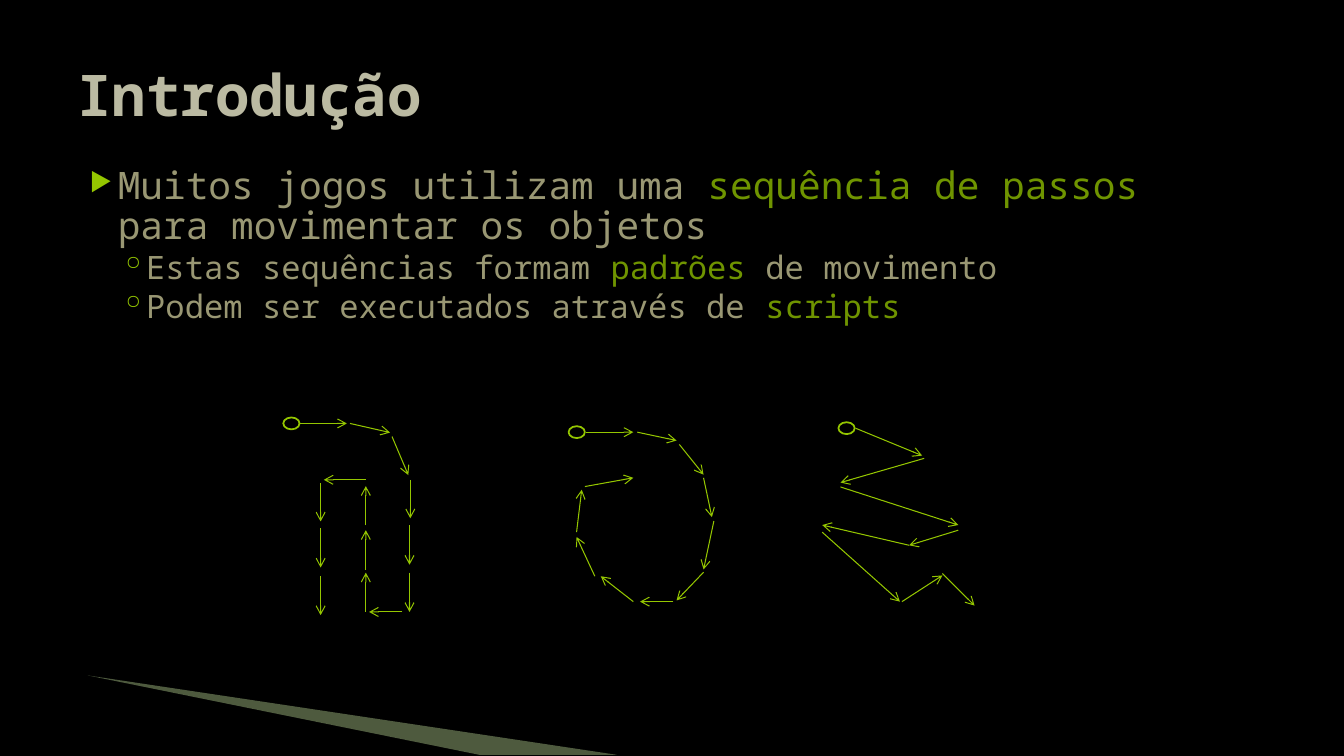
import lxml.etree
import pptx
import pptx.dml.color
import pptx.enum.shapes
import pptx.enum.text
import pptx.oxml.ns
import pptx.util

Cm = pptx.util.Cm
FONT = "Noto Sans Mono"
LIME, GREEN, SAND = "94C600", "6F9400", "999773"

# Each step is (start x, start y, end x, end y) in cm from the start circle's corner.
ZIGZAG_COLUMNS = [
    (0.41, 0.15, 1.6, 0.15), (1.68, 0.15, 2.69, 0.38), (2.74, 0.48, 3.15, 1.45),
    (3.2, 1.57, 3.2, 2.54), (3.18, 2.72, 3.18, 3.71), (3.18, 3.91, 3.18, 4.9),
    (3, 4.9, 2.16, 4.9), (2.08, 4.9, 2.08, 3.91), (2.08, 3.84, 2.08, 2.84),
    (2.08, 2.72, 2.08, 1.73), (2.08, 1.57, 1.02, 1.57), (0.94, 1.65, 0.94, 2.62),
    (0.94, 2.79, 0.94, 3.78), (0.94, 3.99, 0.94, 4.98),
]
SPIRAL = [
    (0.43, 0.15, 1.63, 0.15), (1.73, 0.15, 2.72, 0.36), (2.79, 0.46, 3.4, 1.22),
    (3.4, 1.3, 3.61, 2.29), (3.66, 2.39, 3.4, 3.61), (3.4, 3.68, 2.72, 4.39),
    (2.64, 4.42, 1.8, 4.42), (1.63, 4.42, 0.81, 3.78), (0.66, 3.78, 0.2, 2.79),
    (0.2, 2.67, 0.33, 1.6), (0.41, 1.52, 1.63, 1.3),
]
ERRATIC = [
    (0.43, 0.15, 2.11, 0.84), (2.16, 0.91, 0.05, 1.52), (0.05, 1.63, 3.02, 2.59),
    (3.02, 2.72, 1.78, 3.1), (1.78, 3.1, -0.41, 2.59), (-0.41, 2.77, 1.55, 4.52),
    (1.6, 4.52, 2.62, 3.86), (2.62, 3.81, 3.43, 4.62),
]

BULLETS = [
    (0, [("Muitos jogos utilizam uma ", SAND), ("sequência de passos ", GREEN),
         ("\n", None), ("para movimentar os objetos", SAND)]),
    (1, [("Estas sequências formam ", SAND), ("padrões ", GREEN), ("de movimento", SAND)]),
    (1, [("Podem ser executados através de ", SAND), ("scripts", GREEN)]),
]
# Per level: text size, space before, left margin, hanging indent, character, bullet percent
LEVELS = [(27, 4, 1.02, 0.71, "▶", 68), (23, 3.2, 1.73, 0.64, "◦", 100)]


def color(value):
    return pptx.dml.color.RGBColor.from_string(value)


def add_xml(parent, tag, **attributes):
    return lxml.etree.SubElement(parent, pptx.oxml.ns.qn(tag), attributes)


def add_text_frame(slide, left, top, width, height):
    box = slide.shapes.add_textbox(Cm(left), Cm(top), Cm(width), Cm(height))
    box.text_frame.word_wrap = True
    return box.text_frame


def add_title(slide, left, top, width, height):
    frame = add_text_frame(slide, left, top, width, height)
    frame.vertical_anchor = pptx.enum.text.MSO_ANCHOR.MIDDLE
    paragraph = frame.paragraphs[0]
    paragraph.text = "Introdução"
    font = paragraph.font
    font.name, font.size, font.bold = FONT, pptx.util.Pt(41), True
    font.color.rgb = color("BBBAA2")


def set_bullet(paragraph, margin, hanging, character, percent):
    properties = paragraph._p.get_or_add_pPr()
    properties.set("marL", str(Cm(margin)))
    properties.set("indent", str(-Cm(hanging)))
    add_xml(add_xml(properties, "a:buClr"), "a:srgbClr", val=LIME)
    add_xml(properties, "a:buSzPct", val=str(percent * 1000))
    add_xml(properties, "a:buChar", char=character)


def add_body(slide, left, top, width, height):
    frame = add_text_frame(slide, left, top, width, height)
    for index, (level, runs) in enumerate(BULLETS):
        paragraph = frame.add_paragraph() if index else frame.paragraphs[0]
        size, space, *bullet = LEVELS[level]
        paragraph.level = level
        set_bullet(paragraph, *bullet)
        paragraph.space_before = pptx.util.Pt(space)
        paragraph.line_spacing = 0.88
        paragraph.font.name, paragraph.font.size = FONT, pptx.util.Pt(size)
        for text, run_color in runs:
            if text == "\n":
                paragraph.add_line_break()
                continue
            run = paragraph.add_run()
            run.text = text
            run.font.color.rgb = color(run_color)


def add_arrow(slide, *ends):
    arrow = slide.shapes.add_connector(
        pptx.enum.shapes.MSO_CONNECTOR.STRAIGHT, *(Cm(end) for end in ends))
    arrow.line.color.rgb = color(LIME)
    arrow.line.width = pptx.util.Pt(0.75)
    add_xml(arrow.line._get_or_add_ln(), "a:tailEnd", type="arrow")
    add_xml(arrow._element.spPr, "a:effectLst")


def add_movement_pattern(slide, left, top, steps):
    """Draw a start circle at the given corner and the arrows that follow it."""
    circle = slide.shapes.add_shape(
        pptx.enum.shapes.MSO_SHAPE.OVAL, Cm(left), Cm(top), Cm(0.41), Cm(0.3))
    circle.shadow.inherit = False
    circle.fill.background()
    circle.line.color.rgb = color(LIME)
    circle.line.width = pptx.util.Pt(1.25)
    for start_x, start_y, end_x, end_y in steps:
        add_arrow(slide, left + start_x, top + start_y, left + end_x, top + end_y)


def add_corner_wedge(slide, left, top, width, height):
    builder = slide.shapes.build_freeform(Cm(left), Cm(top))
    bottom = Cm(top + height)
    builder.add_line_segments(
        [(Cm(left + width), bottom), (Cm(left + 0.74 * width), bottom)])
    wedge = builder.convert_to_shape()
    wedge.shadow.inherit = False
    wedge.line.fill.background()
    wedge.fill.solid()
    wedge.fill.fore_color.rgb = color("C3E19D")
    fill_color = wedge._element.spPr.find(".//" + pptx.oxml.ns.qn("a:srgbClr"))
    add_xml(fill_color, "a:alpha", val="40000")


def main():
    presentation = pptx.Presentation()
    presentation.slide_width, presentation.slide_height = Cm(33.87), Cm(19.05)
    slide = presentation.slides.add_slide(presentation.slide_layouts[6])
    slide.background.fill.solid()
    slide.background.fill.fore_color.rgb = color("000000")

    add_corner_wedge(slide, 2.21, 17.02, 13.33, 2)
    add_body(slide, 1.7, 4.11, 30.48, 13.41)
    add_title(slide, 1.7, 0.76, 30.48, 3.18)
    add_movement_pattern(slide, 7.14, 10.52, ZIGZAG_COLUMNS)
    add_movement_pattern(slide, 14.33, 10.74, SPIRAL)
    add_movement_pattern(slide, 21.13, 10.64, ERRATIC)
    presentation.save("out.pptx")


if __name__ == "__main__":
    main()
